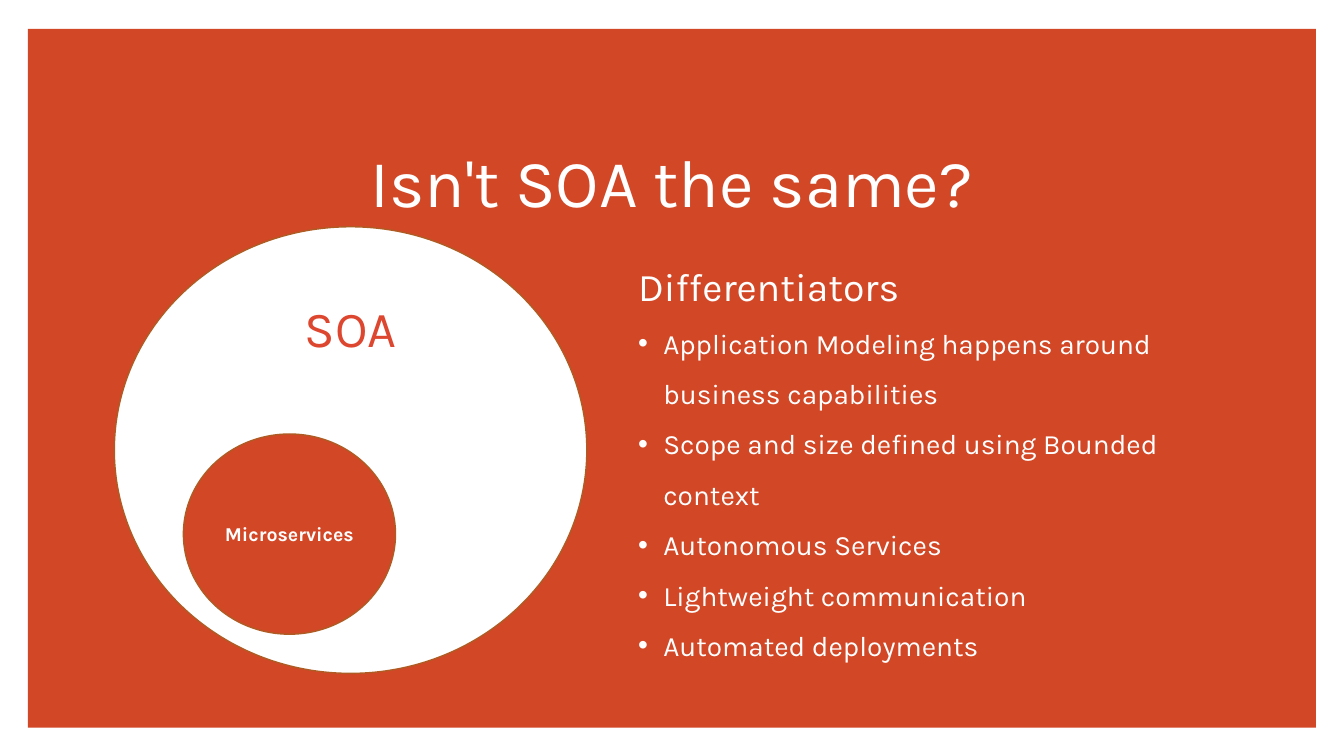
import pptx
import pptx.util
import pptx.dml.color
import pptx.enum.shapes
import pptx.enum.text
from lxml import etree
from pptx.util import Pt

COLORS = {"orange": "D24726", "white": "FFFFFF", "outline": "AF5C24", "red": "DD462F"}
FONT = "Karla"
ANCHOR = pptx.enum.text.MSO_ANCHOR
ALIGN = pptx.enum.text.PP_ALIGN
SHAPE = pptx.enum.shapes.MSO_SHAPE
DIFFERENTIATORS = [
    "Application Modeling happens around business capabilities",
    "Scope and size defined using Bounded context",
    "Autonomous Services",
    "Lightweight communication",
    "Automated deployments",
]


def rgb(name):
    """Return the named colour."""
    return pptx.dml.color.RGBColor.from_string(COLORS[name])


def style_paragraph(paragraph, size, color, align=ALIGN.LEFT, bold=False):
    """Set the alignment of a paragraph and the font of its runs."""
    paragraph.alignment = align
    for run in paragraph.runs:
        run.font.name = FONT
        run.font.size = Pt(size)
        run.font.bold = bold
        run.font.color.rgb = rgb(color)


def add_filled_shape(slide, kind, box, fill, outline=None):
    """Add a flat preset shape with an optional thin outline."""
    shape = slide.shapes.add_shape(kind, *map(Pt, box))
    shape.shadow.inherit = False
    shape.fill.solid()
    shape.fill.fore_color.rgb = rgb(fill)
    if outline:
        shape.line.color.rgb = rgb(outline)
        shape.line.width = Pt(1)
    else:
        shape.line.fill.background()
    return shape


def add_labelled_circle(slide, box, fill, label, size, color, anchor, bold=False):
    """Add an outlined ellipse with a centred label."""
    frame = add_filled_shape(slide, SHAPE.OVAL, box, fill, "outline").text_frame
    frame.margin_left = frame.margin_right = 0
    frame.vertical_anchor = anchor
    frame.text = label
    style_paragraph(frame.paragraphs[0], size, color, ALIGN.CENTER, bold)


def add_text_box(slide, box, anchor):
    """Add a wrapping text box and return its text frame."""
    frame = slide.shapes.add_textbox(*map(Pt, box)).text_frame
    frame.word_wrap = True
    frame.vertical_anchor = anchor
    return frame


def add_title(slide, box, text):
    """Add the centred slide title."""
    frame = add_text_box(slide, box, ANCHOR.BOTTOM)
    frame.text = text
    style_paragraph(frame.paragraphs[0], 48, "white", ALIGN.CENTER)


def make_bullet(paragraph):
    """Give a paragraph a hanging bullet."""
    properties = paragraph._p.get_or_add_pPr()
    properties.set("marL", str(Pt(18)))
    properties.set("indent", str(-Pt(18)))
    namespace = pptx.oxml.ns.qn
    etree.SubElement(properties, namespace("a:buFont")).set("typeface", "Arial")
    etree.SubElement(properties, namespace("a:buChar")).set("char", "•")


def add_bullet_list(slide, box, heading, items):
    """Add a heading followed by bulleted items."""
    frame = add_text_box(slide, box, ANCHOR.TOP)
    frame.text = "\n".join([heading, *items])
    for paragraph in frame.paragraphs:
        paragraph.line_spacing = 1.5
        style_paragraph(paragraph, 20, "white")
    style_paragraph(frame.paragraphs[0], 28, "white")
    for paragraph in frame.paragraphs[1:]:
        make_bullet(paragraph)


def main():
    """Build the slide and save it."""
    presentation = pptx.Presentation()
    presentation.slide_width = Pt(960)
    presentation.slide_height = Pt(540)
    slide = presentation.slides.add_slide(presentation.slide_layouts[6])
    add_filled_shape(slide, SHAPE.RECTANGLE, (20, 20.7, 920, 499), "orange")
    add_title(slide, (66, 91.5, 828, 70), "Isn't SOA the same?")
    add_labelled_circle(slide, (81.7, 162, 337.5, 319), "white", "SOA", 36, "red", ANCHOR.TOP)
    add_labelled_circle(slide, (131, 310, 151.5, 143), "orange", "Microservices", 14, "white",
                        ANCHOR.MIDDLE, bold=True)
    add_bullet_list(slide, (448.7, 167, 459, 286), "Differentiators", DIFFERENTIATORS)
    presentation.save("out.pptx")


if __name__ == "__main__":
    main()
